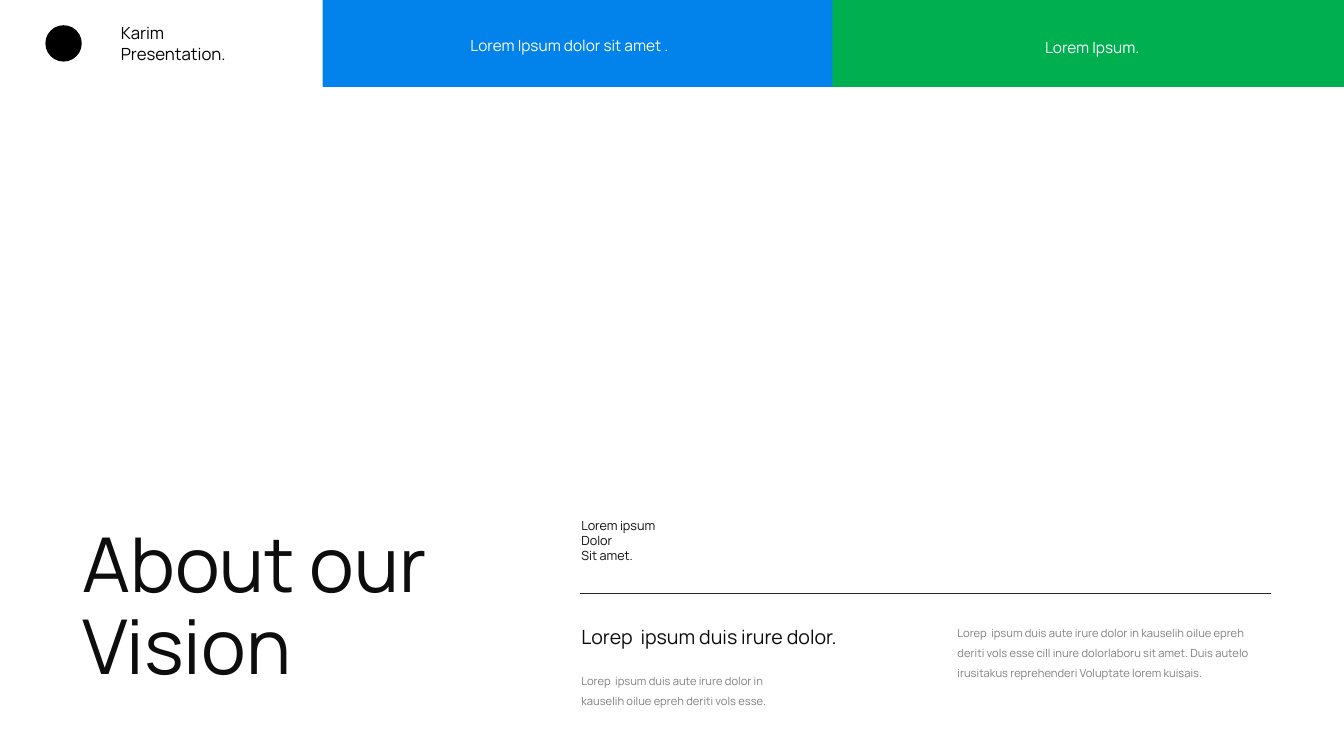
import pptx
import pptx.util
import pptx.dml.color
import pptx.enum.shapes
import pptx.enum.text
import pptx.oxml.ns
import lxml.etree

Pt = pptx.util.Pt
SHAPES = pptx.enum.shapes.MSO_SHAPE


class Theme:
    font = "Manrope"
    blue, green = "0283EB", "00B050"
    white, black = "FFFFFF", "000000"
    ink, rule, gray = "0D0D0D", "262626", "808080"
    title, head, name, label, note, body = 54, 14, 12, 11, 9, 8


def tint(code):
    return pptx.dml.color.RGBColor.from_string(code)


class Page:
    def __init__(self, deck, theme):
        self.theme = theme
        self.slide = deck.slides.add_slide(deck.slide_layouts[6])

    def block(self, kind, left, top, width, height, color):
        shape = self.slide.shapes.add_shape(
            kind, Pt(left), Pt(top), Pt(width), Pt(height))
        shape.shadow.inherit = False
        shape.fill.solid()
        shape.fill.fore_color.rgb = tint(color)
        shape.line.fill.background()

    def line(self, left, right, y, color, weight):
        rule = self.slide.shapes.add_connector(
            pptx.enum.shapes.MSO_CONNECTOR.STRAIGHT,
            Pt(left), Pt(y), Pt(right), Pt(y))
        rule.line.color.rgb = tint(color)
        rule.line.width = Pt(weight)
        lxml.etree.SubElement(
            rule._element.spPr, pptx.oxml.ns.qn("a:effectLst"))

    def text(self, words, left, top, width, height, size, color, space=None):
        """Add a text box; each line of words becomes a paragraph."""
        box = self.slide.shapes.add_textbox(
            Pt(left), Pt(top), Pt(width), Pt(height))
        frame = box.text_frame
        frame.word_wrap = True
        frame.auto_size = pptx.enum.text.MSO_AUTO_SIZE.SHAPE_TO_FIT_TEXT
        frame.text = words
        for para in frame.paragraphs:
            if space:
                para.line_spacing = space
            for run in para.runs:
                run.font.name = self.theme.font
                run.font.size = Pt(size)
                run.font.color.rgb = tint(color)


def main():
    deck = pptx.Presentation()
    deck.slide_width, deck.slide_height = Pt(960), Pt(540)
    look = Theme()
    page = Page(deck, look)

    # Top band
    page.block(SHAPES.RECTANGLE, 230.4, 0, 365.6, 62, look.blue)
    page.block(SHAPES.RECTANGLE, 594.6, 0, 365.4, 62, look.green)
    page.text("Lorem Ipsum dolor sit amet .", 329, 22.3, 249, 21,
              look.label, look.white)
    page.text("Lorem Ipsum.", 739.4, 23.8, 134.6, 21, look.label, look.white)
    page.block(SHAPES.OVAL, 32.4, 18, 26, 26, look.black)
    page.text("Karim\nPresentation.", 79.2, 13, 94.3, 36,
              look.name, look.black)

    # Title
    page.text("About our\nVision", 51.8, 373, 287.3, 125.3,
              look.title, look.ink, 0.9)

    # Details
    edge = 408.2
    page.text("Lorem ipsum\nDolor\nSit amet.", edge, 366.5, 74.2, 40.3,
              look.note, look.ink)
    page.line(414, 908, 423.6, look.rule, 0.5)
    page.text("Lorep  ipsum duis irure dolor.", edge, 434.2, 262.8, 30.2,
              look.head, look.ink, 1.5)
    page.text("Lorep  ipsum duis aute irure dolor in kauselih oilue epreh "
              "deriti vols esse.".replace("oilue epreh", "oilue epreh"),
              edge, 473, 164.2, 35.3, look.body, look.gray, 1.5)
    page.text("Lorep  ipsum duis aute irure dolor in kauselih oilue epreh\n"
              "deriti vols esse cill inure dolorlaboru sit amet. Duis autelo "
              "irusitakus reprehenderi Voluptate lorem kuisais.",
              676.8, 439.2, 248.4, 49.7, look.body, look.gray, 1.5)

    deck.save("out.pptx")


if __name__ == "__main__":
    main()
